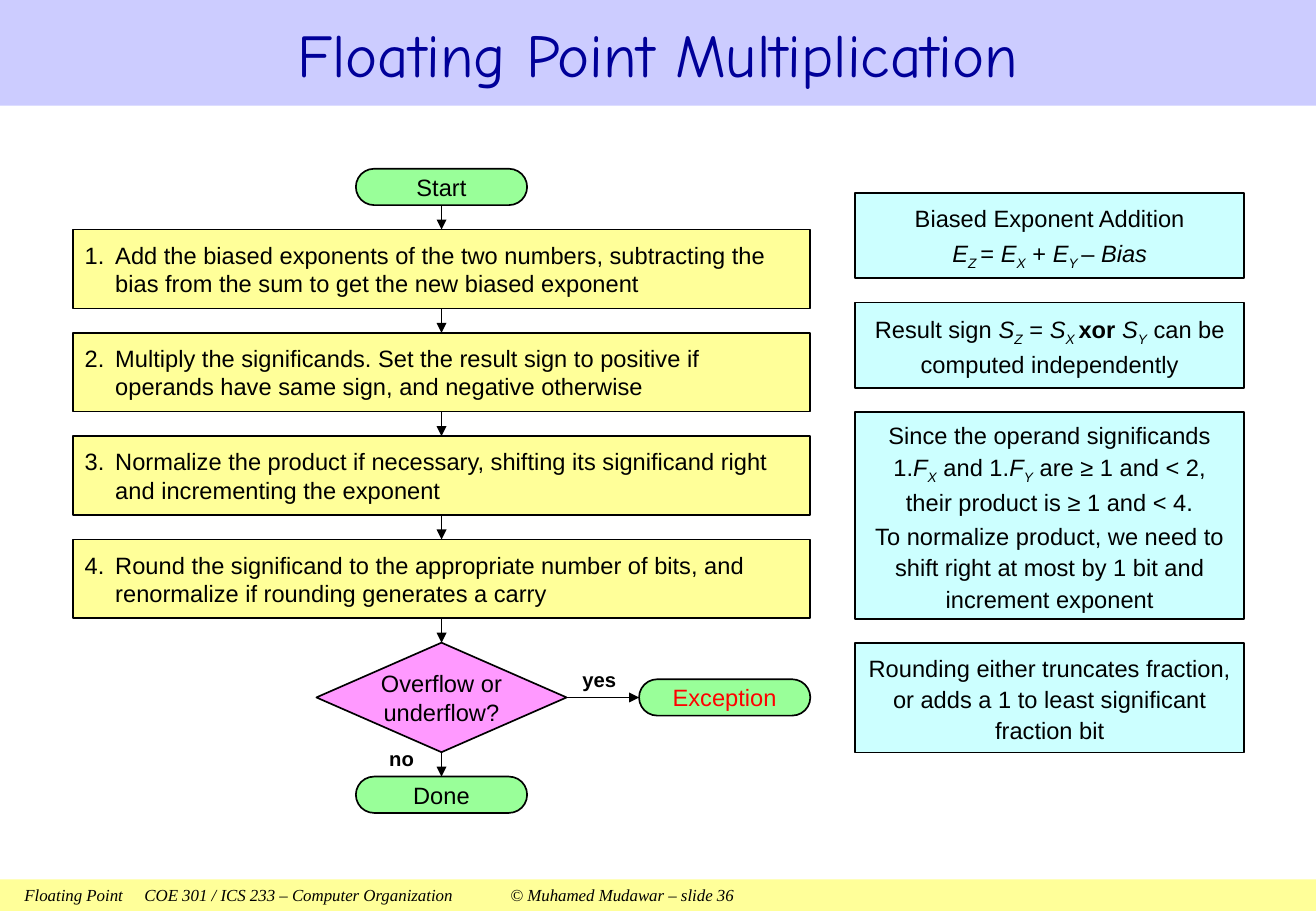
from lxml import etree
from pptx import Presentation
from pptx import util as u
from pptx.dml.color import RGBColor
from pptx.enum import shapes, text
from pptx.oxml.ns import qn

TITLE = "Floating Point Multiplication"
FOOTER = ("Floating Point", "COE 301 / ICS 233 – Computer Organization",
          "© Muhamed Mudawar – slide 36")
FOOTER_TABS = (2.51, 10.16)
STEPS = (
    "Add the biased exponents of the two numbers, subtracting the bias from "
    "the sum to get the new biased exponent",
    "Multiply the significands. Set the result sign to positive if operands "
    "have same sign, and negative otherwise",
    "Normalize the product if necessary, shifting its significand right and "
    "incrementing the exponent",
    "Round the significand to the appropriate number of bits, and "
    "renormalize if rounding generates a carry",
)
DECISION = ("Overflow or", "underflow?")
# Run styles: i italic, b bold, s subscript
NOTES = (
    (1.78, [[("Biased Exponent Addition", "")],
            [("E", "i"), ("Z ", "is"), ("= ", ""), ("E", "i"), ("X", "is"),
             (" + ", ""), ("E", "i"), ("Y ", "is"), ("– ", ""), ("Bias", "i")]]),
    (1.78, [[("Result sign ", ""), ("S", "i"), ("Z", "is"), (" = ", ""),
             ("S", "i"), ("X ", "is"), ("xor ", "b"), ("S", "i"), ("Y", "is"),
             (" can be computed independently", "")]]),
    (4.32, [[("Since the operand significands 1.", ""), ("F", "i"), ("X", "is"),
             (" and 1.", ""), ("F", "i"), ("Y", "is"),
             (" are ≥ 1 and < 2, their product is ≥ 1 and < 4.", "")],
            [("To normalize product, we need to shift right at most by 1 bit "
              "and increment exponent", "")]]),
    (2.29, [[("Rounding either truncates fraction, or adds a 1 to least "
              "significant fraction bit", "")]]),
)
COLOURS = {"band": "CCCCFF", "title": "000099", "step": "FFFF99",
           "terminal": "99FF99", "decision": "FF99FF", "note": "CCFFFF",
           "ink": "000000", "alert": "FF0000"}

WIDTH, HEIGHT = 27.51, 19.05
GAP = 0.51
STEP_LEFT, STEP_WIDTH, STEP_HEIGHT = 1.52, 15.42, 1.65
CENTRE = STEP_LEFT + STEP_WIDTH / 2
TERMINAL_WIDTH, TERMINAL_HEIGHT = 3.58, 0.76
DECISION_WIDTH, DECISION_HEIGHT = 5.23, 2.29
START_TOP = 3.53
NOTE_LEFT, NOTE_WIDTH, NOTE_TOP = 17.88, 8.13, 4.04
FOOTER_HEIGHT = 0.66
LABEL_WIDTH, LABEL_HEIGHT = 1.37, 0.51
KINDS = shapes.MSO_SHAPE
ALIGN = text.PP_ALIGN


def rgb(name):
    return RGBColor.from_string(COLOURS[name])


def style(paragraph, size=14, face="Arial", colour="ink", align=ALIGN.CENTER):
    paragraph.alignment = align
    paragraph.font.size = u.Pt(size)
    paragraph.font.name = face
    paragraph.font.color.rgb = rgb(colour)


def set_frame(frame, side=0.25, edge=0, wrap=True):
    frame.word_wrap = wrap
    frame.vertical_anchor = text.MSO_ANCHOR.MIDDLE
    frame.margin_left = frame.margin_right = u.Cm(side)
    frame.margin_top = frame.margin_bottom = u.Cm(edge)
    return frame


def add_box(slide, kind, fill, left, top, width, height, outlined=True, **frame):
    box = slide.shapes.add_shape(kind, *map(u.Cm, (left, top, width, height)))
    box.shadow.inherit = False
    box.fill.solid()
    box.fill.fore_color.rgb = rgb(fill)
    if outlined:
        box.line.color.rgb = rgb("ink")
        box.line.width = u.Pt(1)
    else:
        box.line.fill.background()
    if kind == KINDS.ROUNDED_RECTANGLE:
        box.adjustments[0] = 0.5
    return set_frame(box.text_frame, **frame)


def add_terminal(slide, wording, left, top, colour="ink"):
    frame = add_box(slide, KINDS.ROUNDED_RECTANGLE, "terminal", left, top,
                    TERMINAL_WIDTH, TERMINAL_HEIGHT)
    frame.text = wording
    style(frame.paragraphs[0], colour=colour)


def add_arrow(slide, *ends):
    arrow = slide.shapes.add_connector(shapes.MSO_CONNECTOR.STRAIGHT,
                                       *map(u.Cm, ends))
    arrow.line.color.rgb = rgb("ink")
    arrow.line.width = u.Pt(1)
    etree.SubElement(arrow.line._get_or_add_ln(), qn("a:tailEnd"), type="triangle")
    etree.SubElement(arrow._element.spPr, qn("a:effectLst"))


def add_label(slide, wording, left, top):
    label = slide.shapes.add_textbox(
        *map(u.Cm, (left, top, LABEL_WIDTH, LABEL_HEIGHT)))
    frame = set_frame(label.text_frame, side=0)
    frame.text = wording
    style(frame.paragraphs[0], size=12)
    frame.paragraphs[0].font.bold = True


def add_step(slide, number, wording, top):
    frame = add_box(slide, KINDS.RECTANGLE, "step", STEP_LEFT, top,
                    STEP_WIDTH, STEP_HEIGHT)
    frame.text = wording
    step = frame.paragraphs[0]
    props = step._p.get_or_add_pPr()
    props.set("marL", str(u.Cm(0.64)))
    props.set("indent", str(-u.Cm(0.64)))
    etree.SubElement(props, qn("a:buFont"), typeface="Arial")
    etree.SubElement(props, qn("a:buAutoNum"), type="arabicPeriod",
                     startAt=str(number))
    style(step, align=ALIGN.LEFT)


def add_note(slide, paragraphs, top, height):
    frame = add_box(slide, KINDS.RECTANGLE, "note", NOTE_LEFT, top,
                    NOTE_WIDTH, height, edge=0.13)
    for index, pieces in enumerate(paragraphs):
        line = frame.add_paragraph() if index else frame.paragraphs[0]
        line.line_spacing = 1.1
        line.space_before = u.Pt(2 if index else 0)
        style(line)
        for wording, marks in pieces:
            run = line.add_run()
            run.text = wording
            if "i" in marks:
                run.font.italic = True
            if "b" in marks:
                run.font.bold = True
            if "s" in marks:
                run._r.get_or_add_rPr().set("baseline", "-25000")


def add_bands(slide):
    frame = add_box(slide, KINDS.RECTANGLE, "band", 0, 0, WIDTH, 2.21, outlined=False)
    frame.text = TITLE
    style(frame.paragraphs[0], 36, "Comic Neue", "title")
    frame = add_box(slide, KINDS.RECTANGLE, "step", 0, HEIGHT - FOOTER_HEIGHT,
                    WIDTH, FOOTER_HEIGHT, outlined=False, side=0.51)
    frame.text = "\t".join(FOOTER)
    line = frame.paragraphs[0]
    tabs = etree.SubElement(line._p.get_or_add_pPr(), qn("a:tabLst"))
    for stop in FOOTER_TABS:
        etree.SubElement(tabs, qn("a:tab"), pos=str(u.Cm(stop)), algn="l")
    style(line, 10, "Times New Roman", align=ALIGN.LEFT)
    line.font.italic = True


def add_flow(slide):
    terminal_left = CENTRE - TERMINAL_WIDTH / 2
    add_terminal(slide, "Start", terminal_left, START_TOP)
    bottom = START_TOP + TERMINAL_HEIGHT
    for number, wording in enumerate(STEPS, 1):
        add_arrow(slide, CENTRE, bottom, CENTRE, bottom + GAP)
        add_step(slide, number, wording, bottom + GAP)
        bottom += GAP + STEP_HEIGHT
    add_arrow(slide, CENTRE, bottom, CENTRE, bottom + GAP)

    top = bottom + GAP
    frame = add_box(slide, KINDS.DIAMOND, "decision", CENTRE - DECISION_WIDTH / 2,
                    top, DECISION_WIDTH, DECISION_HEIGHT, side=0, wrap=False)
    frame.text = "\n".join(DECISION)
    for line in frame.paragraphs:
        style(line)
    middle, bottom = top + DECISION_HEIGHT / 2, top + DECISION_HEIGHT
    right = CENTRE + DECISION_WIDTH / 2
    exception_left = STEP_LEFT + STEP_WIDTH - TERMINAL_WIDTH
    add_arrow(slide, right, middle, exception_left, middle)
    add_terminal(slide, "Exception", exception_left, middle - TERMINAL_HEIGHT / 2, "alert")
    add_label(slide, "yes", right, middle - 0.64)
    add_arrow(slide, CENTRE, bottom, CENTRE, bottom + GAP)
    add_label(slide, "no", CENTRE - 0.15 - LABEL_WIDTH, bottom - 0.13)
    add_terminal(slide, "Done", terminal_left, bottom + GAP)


def main():
    """Build the floating point multiplication flowchart slide."""
    deck = Presentation()
    deck.slide_width, deck.slide_height = u.Cm(WIDTH), u.Cm(HEIGHT)
    slide = deck.slides.add_slide(deck.slide_layouts[6])
    add_bands(slide)
    add_flow(slide)
    top = NOTE_TOP
    for height, paragraphs in NOTES:
        add_note(slide, paragraphs, top, height)
        top += height + GAP
    deck.save("out.pptx")


if __name__ == "__main__":
    main()
